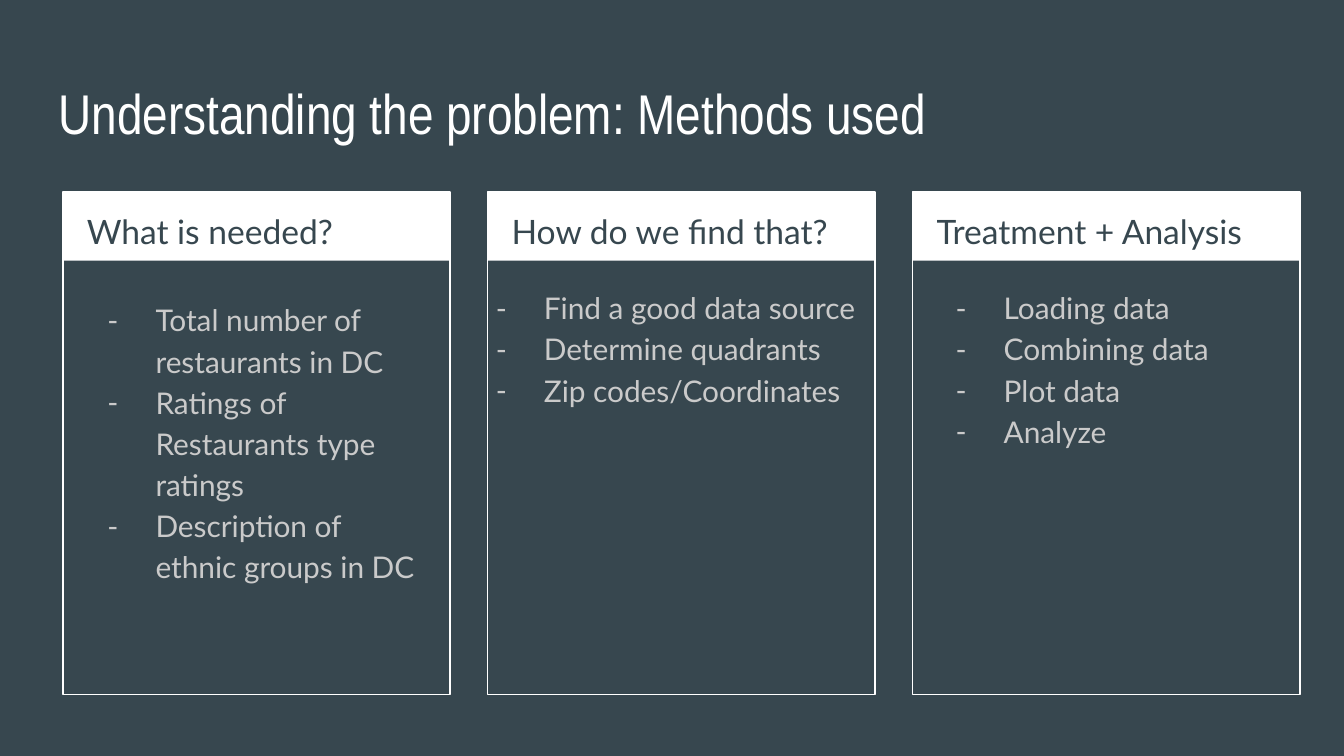
from lxml.etree import SubElement
from pptx import Presentation
from pptx.dml.color import RGBColor
from pptx.enum.shapes import MSO_SHAPE
from pptx.enum.text import MSO_ANCHOR, MSO_AUTO_SIZE, PP_ALIGN
from pptx.oxml.ns import qn
from pptx.util import Cm, Pt

SLATE, WHITE, GREY = "37474F", "FFFFFF", "CACACA"
LEFT, TOP, WIDTH, STEP = 1.19, 3.63, 7.32, 8.03

# heading, list offset from the column, list top, list width, items
COLUMNS = [
    ("What is needed?", 0.23, 5.36, 6.88,
     ["Total number of restaurants in DC",
      "Ratings of Restaurants type ratings",
      "Description of ethnic groups in DC"]),
    ("How do we find that?", -0.46, 5.13, 7.98,
     ["Find a good data source", "Determine quadrants",
      "Zip codes/Coordinates"]),
    ("Treatment + Analysis", 0.2, 5.13, 6.88,
     ["Loading data", "Combining data", "Plot data", "Analyze"]),
]


def color(code):
    return RGBColor.from_string(code)


def dash(par, code, font):
    """Give the paragraph a hanging dash bullet."""
    props = par._p.get_or_add_pPr()
    props.set("marL", str(Cm(1.27)))
    props.set("indent", str(-Cm(0.91)))
    tint = SubElement(props, qn("a:buClr"))
    SubElement(tint, qn("a:srgbClr"), val=code)
    SubElement(props, qn("a:buFont"), typeface=font)
    SubElement(props, qn("a:buChar"), char="-")


def write(shape, lines, size=16, font="Lato", fill=GREY, space=1.15,
          bullet=False):
    frame = shape.text_frame
    frame.word_wrap = True
    frame.auto_size = MSO_AUTO_SIZE.NONE
    frame.vertical_anchor = MSO_ANCHOR.TOP
    frame.margin_left = frame.margin_right = Cm(0.25)
    frame.margin_top = frame.margin_bottom = Cm(0.25)
    frame.text = "\n".join(lines)
    for par in frame.paragraphs:
        par.alignment = PP_ALIGN.LEFT
        par.line_spacing = space
        par.space_before = par.space_after = Pt(0)
        if bullet:
            dash(par, fill, font)
        style = par.runs[0].font
        style.name, style.size, style.bold = font, Pt(size), False
        style.color.rgb = color(fill)


class Deck:
    def __init__(self):
        self.prs = Presentation()
        self.prs.slide_width, self.prs.slide_height = Cm(25.4), Cm(14.29)
        self.slide = self.prs.slides.add_slide(self.prs.slide_layouts[4])
        back = self.slide.background.fill
        back.solid()
        back.fore_color.rgb = color(SLATE)
        self.title, *self.free = self.slide.placeholders

    def head(self, text):
        self.place(self.title, 0.86, 1.24, 23.67, 1.6)
        write(self.title, [text], size=30, font="Arial Narrow",
              fill=WHITE, space=1)

    def place(self, shape, left, top, width, height):
        shape.left, shape.top = Cm(left), Cm(top)
        shape.width, shape.height = Cm(width), Cm(height)

    def text(self, lines, left, top, width, height, **style):
        """Fill the next free placeholder, or a text box once all are used."""
        if self.free:
            shape = self.free.pop(0)
            tree = shape.element.getparent()
            tree.append(shape.element)  # bring in front of the panel
        else:
            shape = self.slide.shapes.add_textbox(0, 0, 0, 0)
        self.place(shape, left, top, width, height)
        write(shape, lines, **style)

    def panel(self, left):
        """Draw a white band and the outlined column around it."""
        group = self.slide.shapes.add_group_shape()
        for height, solid in ((1.3, True), (9.5, False)):
            rect = group.shapes.add_shape(
                MSO_SHAPE.RECTANGLE, Cm(left), Cm(TOP), Cm(WIDTH), Cm(height))
            rect.shadow.inherit = False
            if solid:
                rect.fill.solid()
                rect.fill.fore_color.rgb = color(WHITE)
                rect.line.fill.background()
            else:
                rect.fill.background()
                rect.line.color.rgb = color(WHITE)
                rect.line.width = Pt(0.75)


def main():
    deck = Deck()
    deck.head("Understanding the problem: Methods used")
    for i, (name, shift, top, width, items) in enumerate(COLUMNS):
        left = LEFT + i * STEP
        deck.panel(left)
        deck.text([name], left + 0.2, TOP, 6.93, 1.27, size=18, fill=SLATE)
        deck.text(items, left + shift, top, width, 12.9 - top, bullet=True)
    deck.prs.save("out.pptx")


if __name__ == "__main__":
    main()
